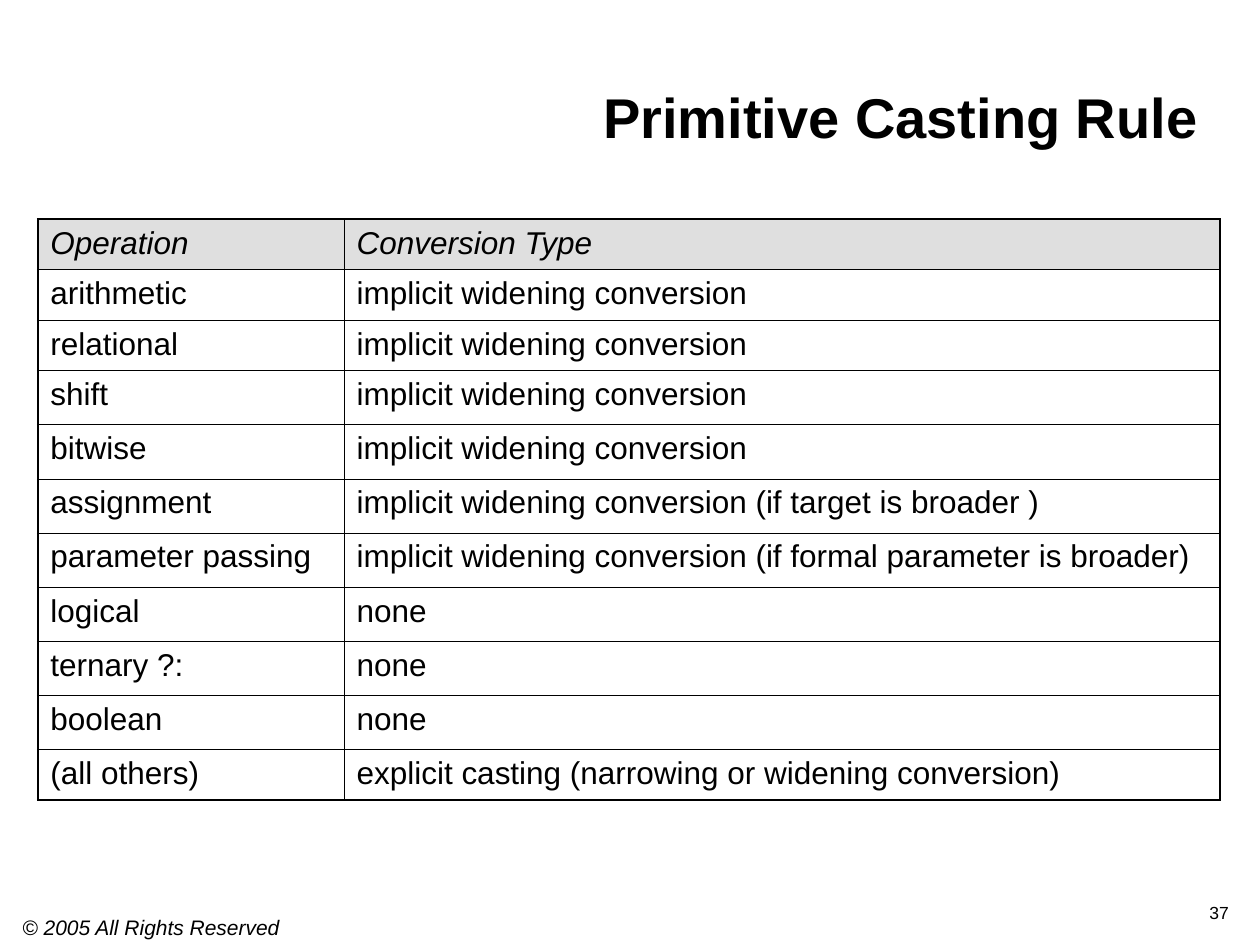
from lxml import etree
from pptx import Presentation
from pptx.dml.color import RGBColor
from pptx.enum.text import MSO_ANCHOR, PP_ALIGN
from pptx.oxml.ns import qn
from pptx.util import Inches, Pt

LEFT, RIGHT = PP_ALIGN.LEFT, PP_ALIGN.RIGHT
TOP, BOTTOM = MSO_ANCHOR.TOP, MSO_ANCHOR.BOTTOM
THIN, THICK = Pt(0.45), Pt(1.08)


def color(value):
    return RGBColor.from_string(value)


def write(frame, text, align=LEFT, spacing=1.0, **font_values):
    para = frame.paragraphs[0]
    para.alignment = align
    para.line_spacing = spacing
    span = para.add_run()
    span.text = text
    span.font.color.rgb = color("000000")
    for name, value in {"name": "Arial", **font_values}.items():
        setattr(span.font, name, value)


deck = Presentation()
deck.slide_width, deck.slide_height = Inches(10), Inches(7.5)
page = deck.slides.add_slide(deck.slide_layouts[6])

# Footer, page number and title
texts = [
    ("© 2005 All Rights Reserved", (0.08, 7.25, 3.33, 0.26), TOP,
     {"spacing": 0.8, "size": Pt(12), "italic": True}),
    ("37", (8, 7.08, 1.85, 0.29), BOTTOM,
     {"align": RIGHT, "spacing": 0.8, "size": Pt(10)}),
    ("Primitive Casting Rule", (0.7, 0.04, 8.91, 1.2), BOTTOM,
     {"align": RIGHT, "size": Pt(32), "bold": True}),
]
for text, place, anchor, values in texts:
    box = page.shapes.add_textbox(*[Inches(length) for length in place])
    box.text_frame.word_wrap = True
    box.text_frame.vertical_anchor = anchor
    write(box.text_frame, text, **values)

# Table of operations and their conversions
widening = "implicit widening conversion"
entries = [
    ("Operation", "Conversion Type"),
    ("arithmetic", widening),
    ("relational", widening),
    ("shift", widening),
    ("bitwise", widening),
    ("assignment", widening + " (if target is broader )"),
    ("parameter passing", widening + " (if formal parameter is broader)"),
    ("logical", "none"),
    ("ternary ?:", "none"),
    ("boolean", "none"),
    ("(all others)", "explicit casting (narrowing or widening conversion)"),
]
widths = [2.43, 6.95]
heights = [0.4] * 3 + [0.43] * 7 + [0.4]
last_row, last_column = len(entries) - 1, len(widths) - 1
table = page.shapes.add_table(
    len(entries), len(widths), Inches(0.3), Inches(1.74),
    Inches(sum(widths)), Inches(sum(heights))).table
table.horz_banding = False
for column, width in zip(table.columns, widths):
    column.width = Inches(width)

for r, entry in enumerate(entries):
    table.rows[r].height = Inches(heights[r])
    for c, text in enumerate(entry):
        cell = table.cell(r, c)
        write(cell.text_frame, text, size=Pt(18), bold=False, italic=r == 0)

        # Thick outer edges, thin inner lines
        outer = {"a:lnL": c == 0, "a:lnR": c == last_column,
                 "a:lnT": r == 0, "a:lnB": r == last_row}
        properties = cell._tc.get_or_add_tcPr()
        for tag, is_outer in outer.items():
            line = etree.SubElement(properties, qn(tag),
                                    w=str(THICK if is_outer else THIN))
            paint = etree.SubElement(line, qn("a:solidFill"))
            etree.SubElement(paint, qn("a:srgbClr"), val="000000")

        # Half-transparent grey header, clear body
        if r == 0:
            cell.fill.solid()
            cell.fill.fore_color.rgb = color("C0C0C0")
            grey = properties.find(qn("a:solidFill")).find(qn("a:srgbClr"))
            etree.SubElement(grey, qn("a:alpha"), val="50000")
        else:
            cell.fill.background()

deck.save("out.pptx")
